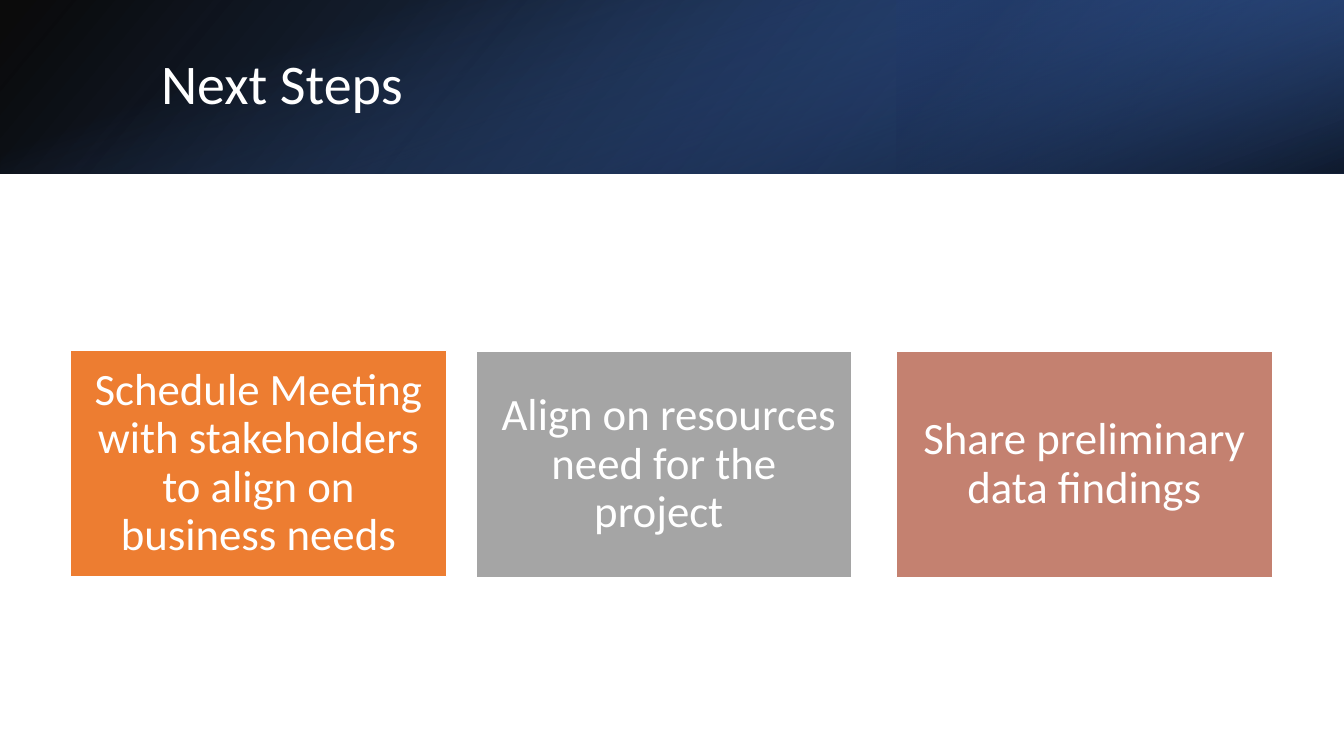
from lxml.etree import SubElement
from pptx import Presentation
from pptx.dml.color import RGBColor
from pptx.enum.shapes import MSO_SHAPE
from pptx.enum.text import MSO_ANCHOR, PP_ALIGN
from pptx.oxml.ns import qn
from pptx.util import Inches, Pt

WHITE = "FFFFFF"
SLIDE_WIDTH, SLIDE_HEIGHT, HEADER_HEIGHT = 13.33, 7.5, 1.72
SIDEWAYS_LEFT = (SLIDE_WIDTH - HEADER_HEIGHT) / 2
STEP_WIDTH, STEP_HEIGHT = 3.73, 2.24
HEADER_LAYERS = [
    ((0, 0, SLIDE_WIDTH, HEADER_HEIGHT), 0, True, 140,
     [(0, "000000", 96), (100, "2F5597", 100)]),
    ((8.89, 0, 4.44, HEADER_HEIGHT), 180, True, 320,
     [(19, "203864", 68), (100, "4472C4", 79)]),
    ((SIDEWAYS_LEFT, -SIDEWAYS_LEFT, HEADER_HEIGHT, SLIDE_WIDTH), 90, False, 340,
     [(23, "4472C4", 0), (99, "000000", 74)]),
]
STEPS = [
    (0.7, 3.48, "ED7D31", "Schedule Meeting with stakeholders to align on business needs"),
    (4.72, 3.49, "A5A5A5", " Align on resources need for the project "),
    (8.89, 3.49, "C48170", "Share preliminary data findings"),
]


def color(hex_value):
    """Turn a hex string into a colour."""
    return RGBColor.from_string(hex_value)


def add_rectangle(slide, box):
    """Add a rectangle without shadow at left, top, width, height in inches."""
    rectangle = slide.shapes.add_shape(MSO_SHAPE.RECTANGLE, *map(Inches, box))
    rectangle.shadow.inherit = False
    return rectangle


def add_header_layer(slide, box, rotation, flipped, angle, stops):
    """Add one translucent gradient layer of the header."""
    layer = add_rectangle(slide, box)
    layer.rotation = rotation
    layer.line.fill.background()
    properties = layer.element.spPr
    if flipped:
        properties.find(qn("a:xfrm")).set("flipH", "1")
    layer.fill.gradient()
    gradient = properties.find(qn("a:gradFill"))
    for child in list(gradient):
        gradient.remove(child)
    stop_list = SubElement(gradient, qn("a:gsLst"))
    for position, hex_value, opacity in stops:
        stop = SubElement(stop_list, qn("a:gs"), pos=str(position * 1000))
        shade = SubElement(stop, qn("a:srgbClr"), val=hex_value)
        SubElement(shade, qn("a:alpha"), val=str(opacity * 1000))
    SubElement(gradient, qn("a:lin"), ang=str(angle * 60000), scaled="0")


def write_text(shape, text, size, alignment):
    """Write white, vertically centred text into a shape."""
    frame = shape.text_frame
    frame.text = text
    frame.word_wrap = True
    frame.vertical_anchor = MSO_ANCHOR.MIDDLE
    paragraph = frame.paragraphs[0]
    paragraph.alignment = alignment
    paragraph.line_spacing = 0.9
    font = paragraph.runs[0].font
    font.name, font.size = "Calibri", Pt(size)
    font.color.rgb = color(WHITE)
    return frame


def add_title(slide, text):
    """Add the slide title over the header."""
    title = slide.shapes.add_textbox(Inches(1.5), Inches(0.38), Inches(10.98), Inches(0.96))
    write_text(title, text, 40, PP_ALIGN.LEFT)


def add_step(slide, left, top, fill, text):
    """Add one coloured step box."""
    step = add_rectangle(slide, (left, top, STEP_WIDTH, STEP_HEIGHT))
    step.fill.solid()
    step.fill.fore_color.rgb = color(fill)
    step.line.color.rgb = color(WHITE)
    step.line.width = Pt(1)
    frame = write_text(step, text, 32, PP_ALIGN.CENTER)
    frame.margin_left = frame.margin_right = Inches(0.13)
    frame.margin_top = frame.margin_bottom = Inches(0.13)


def main():
    """Build the next steps slide."""
    presentation = Presentation()
    presentation.slide_width = Inches(SLIDE_WIDTH)
    presentation.slide_height = Inches(SLIDE_HEIGHT)
    slide = presentation.slides.add_slide(presentation.slide_layouts[6])
    for layer in HEADER_LAYERS:
        add_header_layer(slide, *layer)
    add_title(slide, "Next Steps")
    for step in STEPS:
        add_step(slide, *step)
    presentation.save("out.pptx")


if __name__ == "__main__":
    main()
